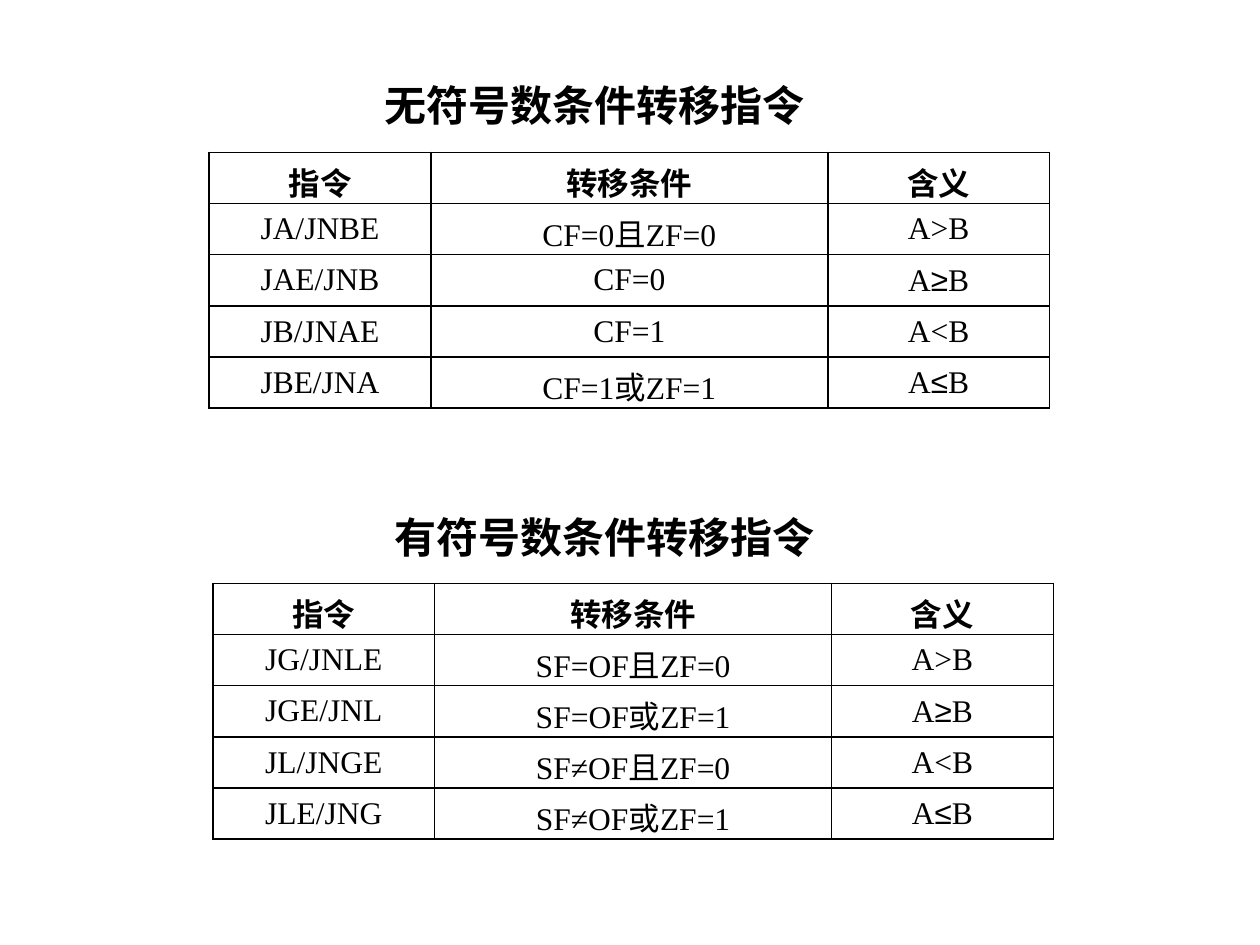
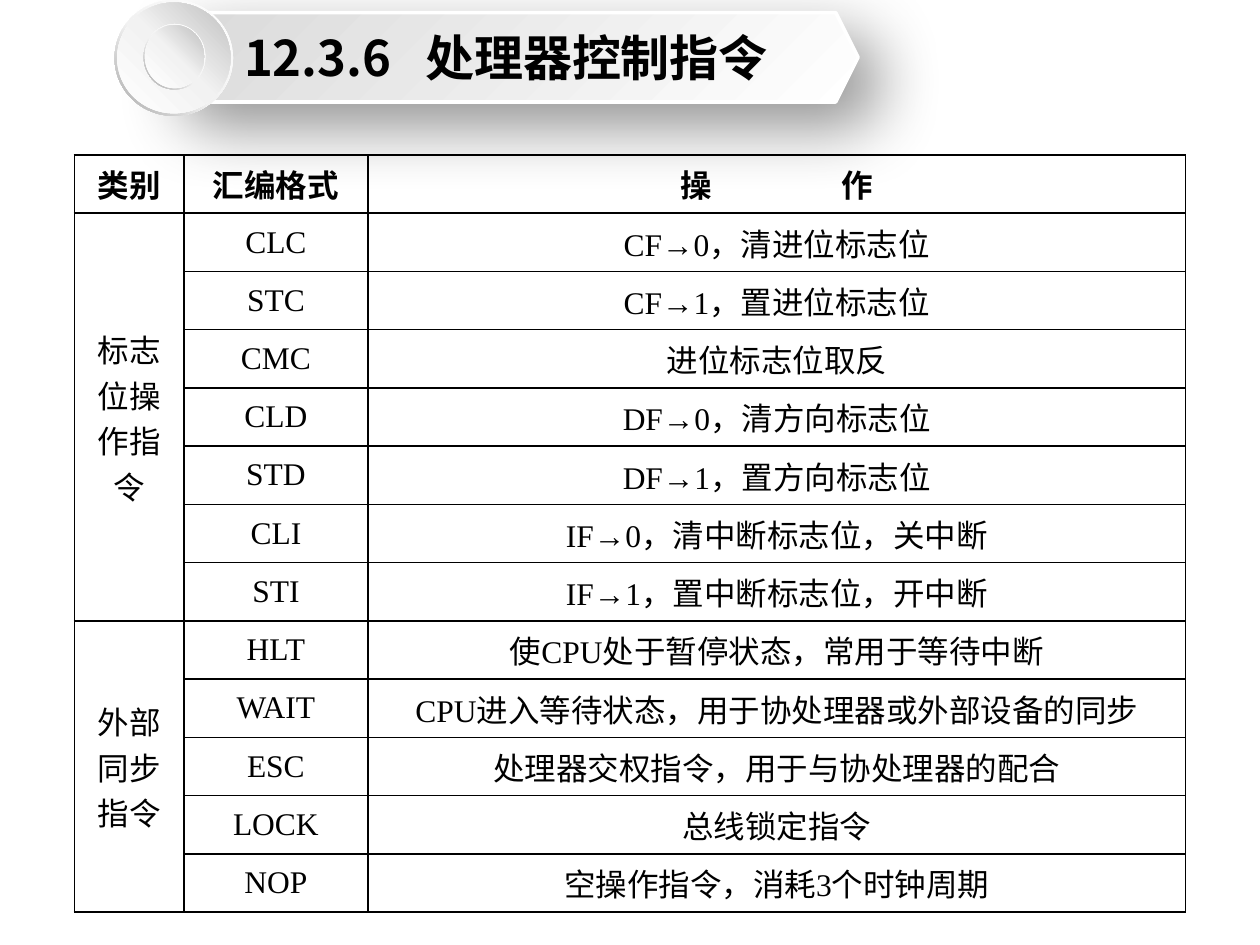
from itertools import groupby

from lxml import etree
from pptx import Presentation
from pptx.dml.color import RGBColor
from pptx.enum.shapes import MSO_SHAPE
from pptx.enum.text import MSO_ANCHOR, MSO_AUTO_SIZE, PP_ALIGN
from pptx.oxml import parse_xml
from pptx.oxml.ns import nsdecls, qn
from pptx.util import Inches, Pt

BLACK = RGBColor(0x00, 0x00, 0x00)
WHITE = RGBColor(0xFF, 0xFF, 0xFF)
LIGHT = RGBColor(0xF2, 0xF2, 0xF2)
SILVER = RGBColor(0xD9, 0xD9, 0xD9)
GREY = RGBColor(0xBF, 0xBF, 0xBF)
DARK = RGBColor(0xA6, 0xA6, 0xA6)
CENTER, MIDDLE = PP_ALIGN.CENTER, MSO_ANCHOR.MIDDLE
FIT_SHAPE = MSO_AUTO_SIZE.SHAPE_TO_FIT_TEXT
HEXAGON, DONUT, OVAL = MSO_SHAPE.HEXAGON, MSO_SHAPE.DONUT, MSO_SHAPE.OVAL
BODY_FONT = "Times New Roman"


def write(p, text, font, size, bold=False, gap=0):
    """Fill a paragraph; comparison signs are Arial, a space is widened by gap points."""
    for mark, chars in groupby(text, lambda ch: ch if ch in "≥≤ " else ""):
        r = p.add_run()
        r.text = "".join(chars)
        r.font.name = "Arial" if mark in ("≥", "≤") else font
        r.font.size = Pt(size)
        r.font.bold = bold
        r.font.color.rgb = BLACK
        if mark == " ":
            r.font._element.set("spc", str(gap * 100))


def add_grid(s, left, top, widths, height, rows):
    """Add a white table with thin black borders and a bold first row."""
    frame = s.shapes.add_table(len(rows), len(widths), Inches(left), Inches(top),
                               Inches(sum(widths)), Inches(height))
    table = frame.table
    table.first_row = table.horz_banding = False
    for column, width in zip(table.columns, widths):
        column.width = Inches(width)
    for i, values in enumerate(rows):
        table.rows[i].height = Inches(height / len(rows))
        for j, value in enumerate(values):
            cell = table.cell(i, j)
            cell.vertical_anchor = MIDDLE
            tc_pr = cell._tc.get_or_add_tcPr()
            for side in ("lnL", "lnR", "lnT", "lnB"):
                tc_pr.append(parse_xml(
                    f'<a:{side} {nsdecls("a")} w="12700"><a:solidFill>'
                    f'<a:srgbClr val="{BLACK}"/></a:solidFill></a:{side}>'))
            cell.fill.solid()
            cell.fill.fore_color.rgb = WHITE
            p = cell.text_frame.paragraphs[0]
            p.alignment = CENTER
            write(p, value, BODY_FONT, 18, bold=i == 0, gap=70)
    return table


prs = Presentation()
prs.slide_width, prs.slide_height = Inches(10), Inches(7.5)
blank = prs.slide_layouts[6]

# Slide 1: conditional jumps, unsigned and signed
s = prs.slides.add_slide(blank)
JUMP_HEADER = ("指令", "转移条件", "含义")
JUMP_TABLES = [
    ("无符号数条件转移指令", 2.95, 0.58, 1.66, 1.21, [
        ("JA/JNBE", "CF=0且ZF=0", "A>B"),
        ("JAE/JNB", "CF=0", "A≥B"),
        ("JB/JNAE", "CF=1", "A<B"),
        ("JBE/JNA", "CF=1或ZF=1", "A≤B"),
    ]),
    ("有符号数条件转移指令", 3.03, 4.01, 1.69, 4.63, [
        ("JG/JNLE", "SF=OF且ZF=0", "A>B"),
        ("JGE/JNL", "SF=OF或ZF=1", "A≥B"),
        ("JL/JNGE", "SF≠OF且ZF=0", "A<B"),
        ("JLE/JNG", "SF≠OF或ZF=1", "A≤B"),
    ]),
]
for title, title_left, title_top, left, top, rows in JUMP_TABLES:
    box = s.shapes.add_textbox(Inches(title_left), Inches(title_top),
                               Inches(3.59), Inches(0.5))
    tf = box.text_frame
    tf.word_wrap = False
    tf.auto_size = FIT_SHAPE
    write(tf.paragraphs[0], title, "Calibri", 24, bold=True)
    add_grid(s, left, top, (1.76, 3.15, 1.76), 2.03, [JUMP_HEADER, *rows])

# Slide 2: processor control instructions
s = prs.slides.add_slide(blank)
CONTROL_GROUPS = [
    ("标志位操作指令", [
        ("CLC", "CF→0,清进位标志位"),
        ("STC", "CF→1,置进位标志位"),
        ("CMC", "进位标志位取反"),
        ("CLD", "DF→0,清方向标志位"),
        ("STD", "DF→1,置方向标志位"),
        ("CLI", "IF→0,清中断标志位,关中断"),
        ("STI", "IF→1,置中断标志位,开中断"),
    ]),
    ("外部同步指令", [
        ("HLT", "使CPU处于暂停状态,常用于等待中断"),
        ("WAIT", "CPU进入等待状态,用于协处理器或外部设备的同步"),
        ("ESC", "处理器交权指令,用于与协处理器的配合"),
        ("LOCK", "总线锁定指令"),
        ("NOP", "空操作指令,消耗3个时钟周期"),
    ]),
]
rows = [("类别", "汇编格式", "操 作")]
for category, instructions in CONTROL_GROUPS:
    for i, (code, action) in enumerate(instructions):
        rows.append((category if i == 0 else "", code, action.replace(",", "\uff0c")))
table = add_grid(s, 0.59, 1.23, (0.87, 1.46, 6.49), 6.01, rows)
first = 1
for category, instructions in CONTROL_GROUPS:
    last = first + len(instructions) - 1
    table.cell(first, 0).merge(table.cell(last, 0))
    first = last + 1

# Title banner: a hexagon with a round button of two rimmed discs
RIM = [(0, WHITE), (55, LIGHT), (100, DARK)]
DISC = [(0, WHITE), (51, LIGHT), (100, GREY)]
BANNER_PARTS = [
    (HEXAGON, 1.22, 0.1, 5.59, 0.71, [(0, WHITE), (100, SILVER)], 225),
    (DONUT, 0.91, 0, 0.94, 0.92, RIM, 135),
    (OVAL, 0.93, 0.02, 0.9, 0.88, DISC, 315),
    (DONUT, 1.14, 0.19, 0.49, 0.52, RIM, 135),
    (OVAL, 1.15, 0.2, 0.47, 0.5, DISC, 315),
]
group = s.shapes.add_group_shape()
for kind, left, top, width, height, stops, angle in BANNER_PARTS:
    sp = group.shapes.add_shape(kind, Inches(left), Inches(top),
                                Inches(width), Inches(height))
    sp.shadow.inherit = False
    sp.line.fill.background()
    if kind == DONUT:
        sp.adjustments[0] = 0.049
    sp.fill.gradient()
    grad = sp._element.spPr.find(qn("a:gradFill"))
    stop_list = grad.find(qn("a:gsLst"))
    for old in list(stop_list):
        stop_list.remove(old)
    for position, color in stops:
        stop = etree.SubElement(stop_list, qn("a:gs"), pos=str(position * 1000))
        etree.SubElement(stop, qn("a:srgbClr"), val=str(color))
    grad.find(qn("a:lin")).set("ang", str(angle * 60000))

banner = group.shapes[0]
banner.line.color.rgb = WHITE
banner.line.width = Pt(2)
effects = banner._element.spPr.find(qn("a:effectLst"))
effects.append(parse_xml(
    f'<a:outerShdw {nsdecls("a")} blurRad="{Pt(38)}" dist="{Pt(19)}" dir="2700000" '
    f'algn="tl" rotWithShape="0"><a:srgbClr val="{BLACK}">'
    f'<a:alpha val="42000"/></a:srgbClr></a:outerShdw>'))
tf = banner.text_frame
tf.word_wrap = False
tf.vertical_anchor = MIDDLE
p = tf.paragraphs[0]
p.alignment = CENTER
write(p, "12.3.6 处理器控制指令", "Noto Sans CJK SC", 28, bold=True, gap=13)

prs.save("out.pptx")
